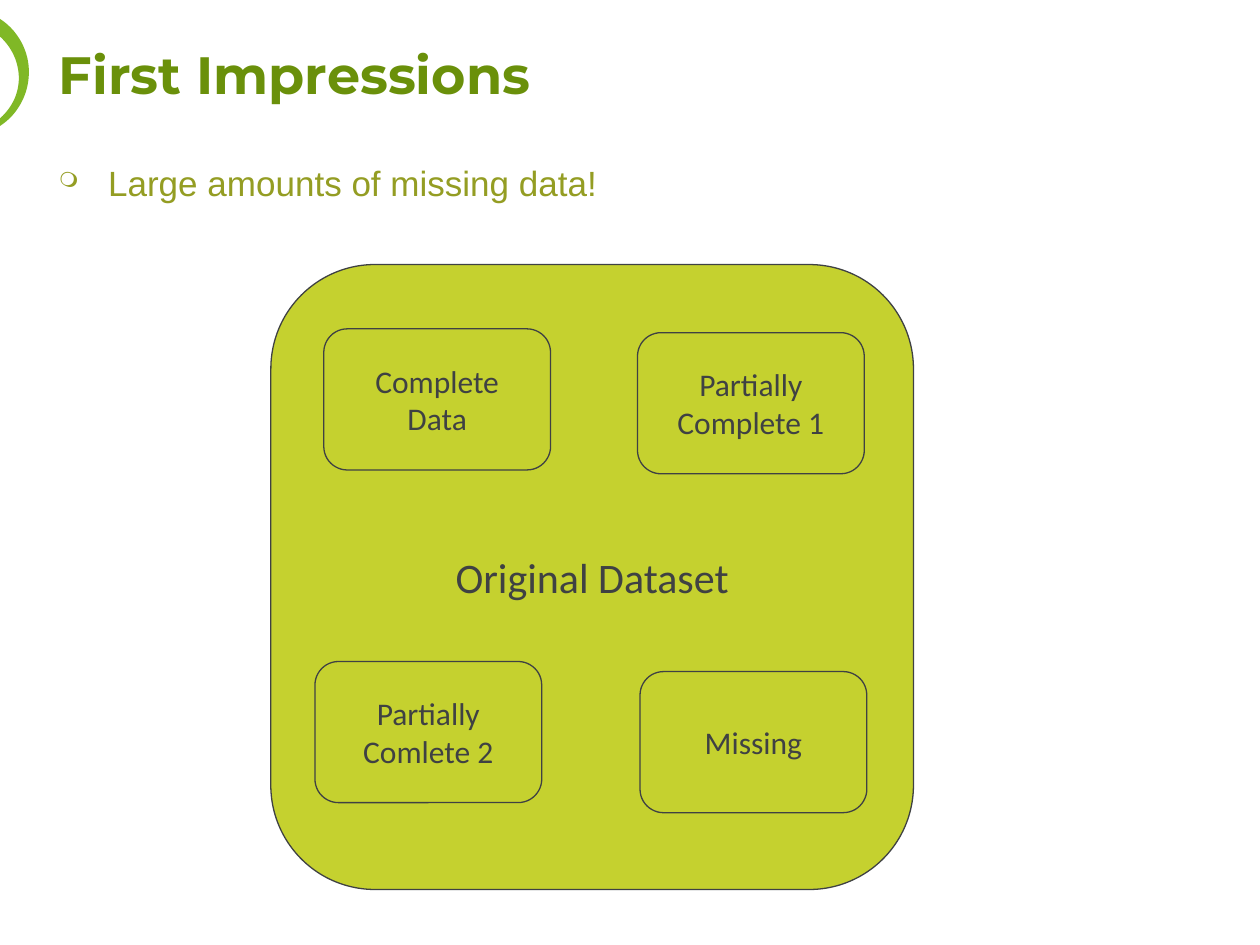
from lxml.etree import SubElement
from pptx import Presentation
from pptx.dml.color import RGBColor
from pptx.enum.shapes import MSO_SHAPE
from pptx.enum.text import MSO_ANCHOR, PP_ALIGN
from pptx.oxml.ns import qn
from pptx.util import Inches, Pt

GREEN = RGBColor(0x6A, 0x90, 0x0A)
LEAF = RGBColor(0x80, 0xB8, 0x26)
OLIVE = RGBColor(0x94, 0x9D, 0x23)
LIME = RGBColor(0xC5, 0xD1, 0x2F)
DARK = RGBColor(0x3F, 0x41, 0x43)

BOXES = [
    ("Complete\nData", 2.57, 2.61),
    ("Missing", 5.08, 5.33),
    ("Partially\nComlete 2", 2.5, 5.25),
    ("Partially\nComplete 1", 5.06, 2.64),
]


def write(frame, text, font="Calibri", size=18, color=DARK, bold=False,
          align=PP_ALIGN.LEFT, anchor=MSO_ANCHOR.TOP, space=1.0, wrap=True):
    frame.word_wrap = wrap
    frame.vertical_anchor = anchor
    frame.text = text
    for par in frame.paragraphs:
        par.alignment = align
        par.line_spacing = space
        style = par.font
        style.name, style.size, style.bold = font, Pt(size), bold
        style.color.rgb = color


def curve(start, ctrl1, ctrl2, end, steps=24):
    """Points along a cubic Bezier curve, without its start."""
    points = []
    for step in range(1, steps + 1):
        t = step / steps
        u = 1 - t
        points.append(tuple(
            u**3 * a + 3 * u * u * t * b + 3 * u * t * t * c + t**3 * d
            for a, b, c, d in zip(start, ctrl1, ctrl2, end)))
    return points


class Deck:
    def __init__(self):
        self.file = Presentation()
        self.file.slide_width = Inches(10)
        self.file.slide_height = Inches(7.5)
        self.slide = self.file.slides.add_slide(self.file.slide_layouts[6])
        self.shapes = self.slide.shapes

    def text(self, text, left, top, width, height, **style):
        box = self.shapes.add_textbox(
            Inches(left), Inches(top), Inches(width), Inches(height))
        write(box.text_frame, text, **style)
        return box

    def bullet(self, text, *place, **style):
        box = self.text(text, *place, **style)
        par = box.text_frame.paragraphs[0]
        par.space_before = Pt(18)
        props = par._p.get_or_add_pPr()
        props.set("marL", str(Inches(0.39)))
        props.set("indent", str(-Inches(0.39)))
        tint = SubElement(props, qn("a:buClr"))
        SubElement(tint, qn("a:srgbClr"), val=str(OLIVE))
        SubElement(props, qn("a:buSzPct"), val="60000")
        SubElement(props, qn("a:buChar"), char="❍")
        # The schema wants the default run format after the bullet.
        font = props.find(qn("a:defRPr"))
        if font is not None:
            props.append(font)

    def box(self, text, left, top, width=1.8, height=1.12, size=18):
        box = self.shapes.add_shape(
            MSO_SHAPE.FLOWCHART_ALTERNATE_PROCESS,
            Inches(left), Inches(top), Inches(width), Inches(height))
        box.shadow.inherit = False
        box.fill.solid()
        box.fill.fore_color.rgb = LIME
        box.line.color.rgb = DARK
        box.line.width = Pt(0.75)
        write(box.text_frame, text, size=size, align=PP_ALIGN.CENTER,
              anchor=MSO_ANCHOR.MIDDLE, wrap=False)

    def arc(self):
        """The part of a ring at the left edge."""
        points = [
            *curve((0, 0.15), (0.14, 0.24), (0.23, 0.4), (0.23, 0.57)),
            *curve((0.23, 0.57), (0.23, 0.75), (0.14, 0.91), (0, 1)),
            (0, 0.94),
            *curve((0, 0.94), (0.09, 0.86), (0.15, 0.75), (0.15, 0.62)),
            *curve((0.15, 0.62), (0.15, 0.49), (0.09, 0.37), (0, 0.29)),
        ]
        pen = self.shapes.build_freeform(0, Inches(0.15), scale=1.0)
        pen.add_line_segments([(Inches(x), Inches(y)) for x, y in points])
        ring = pen.convert_to_shape()
        ring.shadow.inherit = False
        ring.fill.solid()
        ring.fill.fore_color.rgb = LEAF
        ring.line.fill.background()


def main():
    deck = Deck()
    deck.arc()
    deck.text("First Impressions", 0.37, 0.12, 8.54, 0.77, font="Montserrat",
              size=30, color=GREEN, bold=True, anchor=MSO_ANCHOR.BOTTOM,
              space=0.9)
    deck.bullet("Large amounts of missing data!", 0.37, 1.2, 8.53, 5.73,
                font="Arial", size=20, color=OLIVE, align=PP_ALIGN.JUSTIFY,
                space=1.1)
    deck.box("Original Dataset", 2.15, 2.1, 5.1, 4.96, size=24)
    for text, left, top in BOXES:
        deck.box(text, left, top)
    deck.file.save("out.pptx")


if __name__ == "__main__":
    main()
